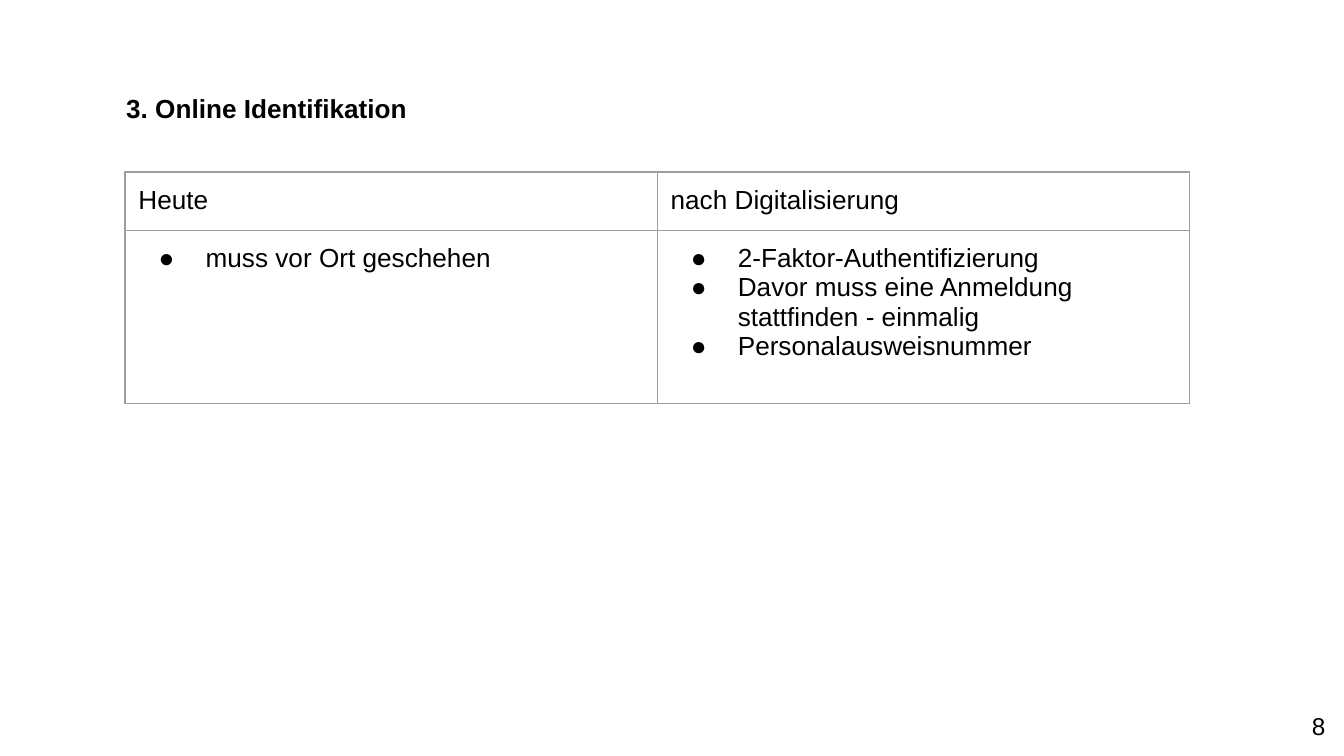
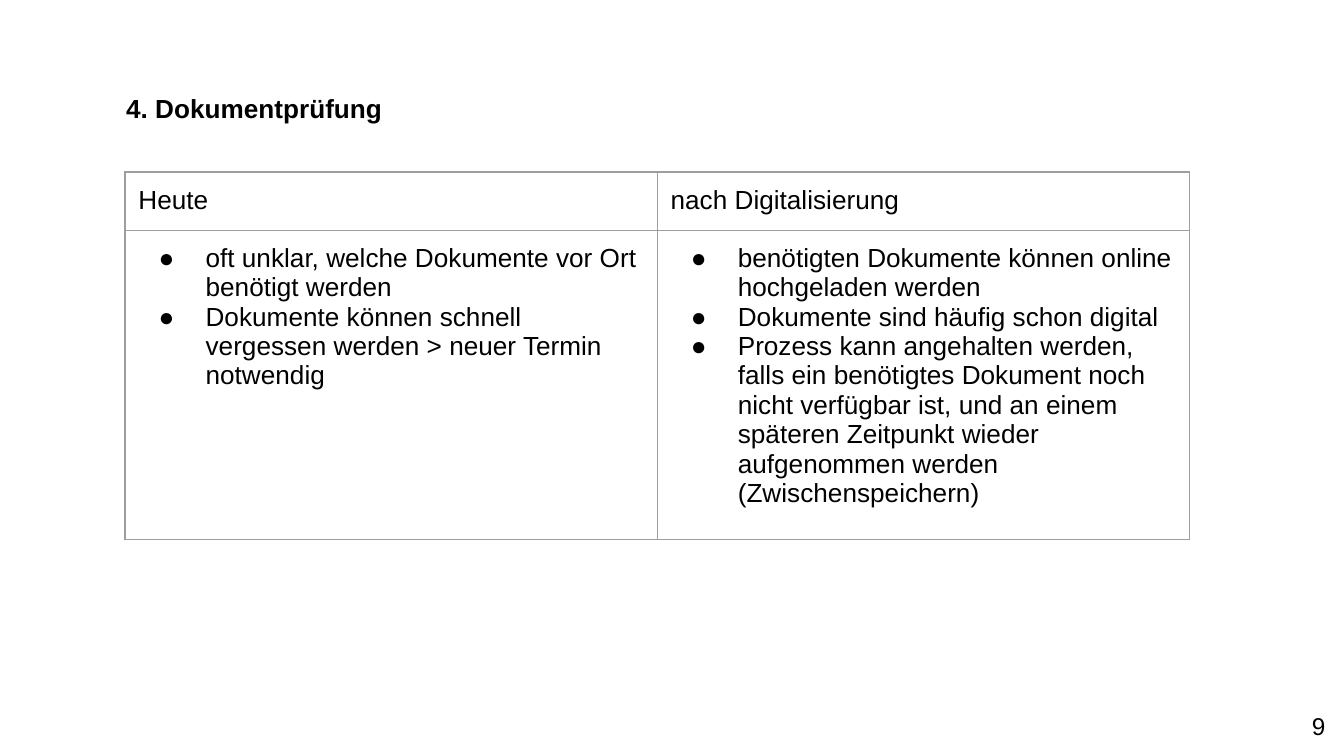
"""Build two slides that compare today's process steps with their digital versions."""
from lxml import etree
from pptx import Presentation
from pptx import util as u
from pptx.dml import color
from pptx.enum import text
from pptx.oxml import ns

COLORS = {"page": "FFFFFF", "ink": "000000", "border": "9E9E9E"}
FONT = "Arial"
INSET = u.Inches(0.1)
INSETS = {f"margin_{side}": INSET for side in ("left", "top", "right", "bottom")}
BODY = {"size": u.Pt(14), "bold": False}
TITLE = {"size": u.Pt(14), "bold": True}
NUMBER = {"size": u.Pt(13), "bold": False}
HEADERS = ["Heute", "nach Digitalisierung"]
TABLE_LEFT, TABLE_TOP = 0.93, 1.28
COLUMN_WIDTH, ROW_HEIGHT = 3.96, 0.42

PAGES = [
    {
        "number": 8,
        "title": "3. Online Identifikation",
        "table_height": 1.8,
        "body_height": 1.29,
        "columns": [
            ["muss vor Ort geschehen"],
            [
                "2-Faktor-Authentifizierung",
                "Davor muss eine Anmeldung stattfinden - einmalig",
                "Personalausweisnummer",
            ],
        ],
    },
    {
        "number": 9,
        "title": "4. Dokumentprüfung",
        "table_height": 2.73,
        "body_height": ROW_HEIGHT,
        "columns": [
            [
                "oft unklar, welche Dokumente vor Ort benötigt werden",
                "Dokumente können schnell vergessen werden > neuer Termin notwendig",
            ],
            [
                "benötigten Dokumente können online hochgeladen werden",
                "Dokumente sind häufig schon digital",
                "Prozess kann angehalten werden, falls ein benötigtes Dokument noch "
                "nicht verfügbar ist, und an einem späteren Zeitpunkt wieder "
                "aufgenommen werden (Zwischenspeichern)",
            ],
        ],
    },
]


def write(frame, lines, style, indent=None, bullet=False):
    """Fill a text frame with one paragraph per line."""
    for index, line in enumerate(lines):
        para = frame.paragraphs[0] if index == 0 else frame.add_paragraph()
        span = para.add_run()
        span.text = line
        for name, value in {"name": FONT, **style}.items():
            setattr(span.font, name, value)
        span.font.color.rgb = color.RGBColor.from_string(COLORS["ink"])
        props = para._p.get_or_add_pPr()
        if indent:
            props.set("marL", str(u.Inches(indent[0])))
            props.set("indent", str(u.Inches(indent[1])))
        if bullet:
            tint = etree.SubElement(props, ns.qn("a:buClr"))
            etree.SubElement(tint, ns.qn("a:srgbClr"), val=COLORS["ink"])
            etree.SubElement(props, ns.qn("a:buFont"), typeface=FONT)
            etree.SubElement(props, ns.qn("a:buChar"), char="●")


def add_text(page, area, line, style, anchor, align, indent=None):
    """Add a wrapping text box and write one line in it."""
    frame = page.shapes.add_textbox(*map(u.Inches, area)).text_frame
    for name, value in {**INSETS, "word_wrap": True, "vertical_anchor": anchor}.items():
        setattr(frame, name, value)
    write(frame, [line], style, indent)
    frame.paragraphs[0].alignment = align


deck = Presentation()
deck.slide_width = u.Inches(10)
deck.slide_height = deck.slide_width * 9 // 16

for entry in PAGES:
    page = deck.slides.add_slide(deck.slide_layouts[6])
    page.background.fill.solid()
    page.background.fill.fore_color.rgb = color.RGBColor.from_string(COLORS["page"])

    add_text(page, (0.34, 0.49, 9.32, 0.63), entry["title"], TITLE,
             text.MSO_ANCHOR.MIDDLE, text.PP_ALIGN.LEFT, (0.5, 0))

    heights = [ROW_HEIGHT, entry["body_height"]]
    area = (TABLE_LEFT, TABLE_TOP, COLUMN_WIDTH * len(HEADERS), entry["table_height"])
    box = page.shapes.add_table(len(heights), len(HEADERS), *map(u.Inches, area))
    table = box.table
    table.first_row = table.horz_banding = False
    for row, height in zip(table.rows, heights):
        row.height = u.Inches(height)
    box.height = u.Inches(entry["table_height"])
    for index, header in enumerate(HEADERS):
        table.columns[index].width = u.Inches(COLUMN_WIDTH)
        write(table.cell(0, index).text_frame, [header], BODY)
        write(table.cell(1, index).text_frame, entry["columns"][index], BODY,
              (0.5, -0.35), bullet=True)

    for cell in table.iter_cells():
        for name, value in INSETS.items():
            setattr(cell, name, value)
        props = cell._tc.get_or_add_tcPr()
        for edge in ("lnL", "lnR", "lnT", "lnB"):
            line = etree.SubElement(props, ns.qn(f"a:{edge}"), w=str(u.Pt(0.75)))
            fill = etree.SubElement(line, ns.qn("a:solidFill"))
            etree.SubElement(fill, ns.qn("a:srgbClr"), val=COLORS["border"])
        cell.fill.background()

    add_text(page, (9.36, 5.19, 0.6, 0.43), str(entry["number"]), NUMBER,
             text.MSO_ANCHOR.TOP, text.PP_ALIGN.RIGHT)

deck.save("out.pptx")
